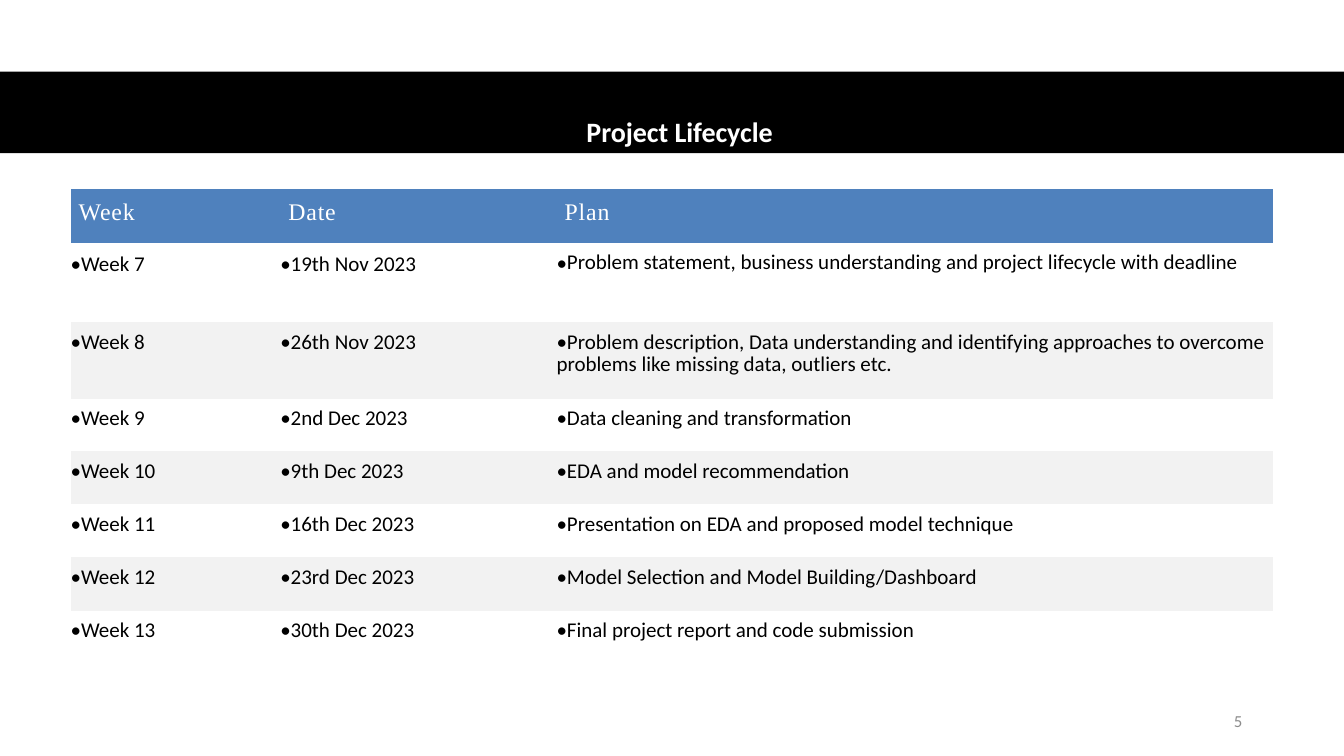
"""Build the project lifecycle slide with its weekly plan table."""
from dataclasses import dataclass

from lxml import etree
from pptx import Presentation
from pptx import util as u
from pptx.dml.color import RGBColor
from pptx.enum import shapes, text
from pptx.oxml.ns import qn

TITLE = "Project Lifecycle"
PAGE = "5"
HEADER = ("Week", "Date", "Plan")
SCHEDULE = [
    ("Week 7", "19th Nov 2023",
     "Problem statement, business understanding and project lifecycle with deadline"),
    ("Week 8", "26th Nov 2023",
     "Problem description, Data understanding and identifying approaches to overcome "
     "problems like missing data, outliers etc."),
    ("Week 9", "2nd Dec 2023", "Data cleaning and transformation"),
    ("Week 10", "9th Dec 2023", "EDA and model recommendation"),
    ("Week 11", "16th Dec 2023", "Presentation on EDA and proposed model technique"),
    ("Week 12", "23rd Dec 2023", "Model Selection and Model Building/Dashboard"),
    ("Week 13", "30th Dec 2023", "Final project report and code submission"),
]
WIDTH, HEIGHT = 13.33, 7.5
COLUMNS = (2.08, 2.74, 7.11)
ROWS = (0.53, 0.78, 0.77, 0.52, 0.52, 0.53, 0.53, 0.52)
LEADING = (15.2, 16.4, 16.4, 15.1, 15.1, 16.2, 15.8, 15.1)
PLAN_LEADING = (15.2, 15.5, 16.1, 15.1, 15.1, 16.1, 15.5, 15.1)
PLAN_SPACE_BEFORE = {1: 1.1, 6: 0.6}
TABLE_LEFT, TABLE_TOP = 0.7, 1.88
CELL_MARGINS = (0, 0.11, 0.06, 0.14)
PLAIN_STYLE = "{2D5ABB26-0587-4C30-8999-92F81FD0307C}"


@dataclass(frozen=True)
class Theme:
    band: str = "000000"
    ink: str = "000000"
    light: str = "FFFFFF"
    muted: str = "8C8C8C"
    header: str = "4F81BD"
    stripe: str = "F2F2F2"
    body_font: str = "Calibri"
    header_font: str = "Times New Roman"
    title_size: int = 20
    header_size: int = 17
    body_size: int = 15
    page_size: int = 12


THEME = Theme()


def add_run(paragraph, words, size, color, font=THEME.body_font, bold=False, spacing=0):
    run = paragraph.add_run()
    run.text = words
    run.font.name = font
    run.font.size = u.Pt(size)
    run.font.bold = bold
    run.font.color.rgb = RGBColor.from_string(color)
    run.font._element.set("spc", str(round(spacing * 100)))


def add_label(slide, box, anchor, alignment):
    frame = slide.shapes.add_textbox(*map(u.Inches, box)).text_frame
    frame.word_wrap = True
    frame.vertical_anchor = anchor
    frame.paragraphs[0].alignment = alignment
    return frame


def set_indent(paragraph, margin, indent, bullet=None):
    properties = paragraph._p.get_or_add_pPr()
    properties.set("marL", str(u.Inches(margin)))
    properties.set("indent", str(u.Inches(indent)))
    if bullet:
        etree.SubElement(properties, qn("a:buFont")).set("typeface", THEME.body_font)
        etree.SubElement(properties, qn("a:buChar")).set("char", bullet)


def fill_cell(cell, row, column, words):
    margins = map(u.Inches, CELL_MARGINS)
    cell.margin_left, cell.margin_top, cell.margin_right, cell.margin_bottom = margins
    fill = THEME.header if row == 0 else THEME.stripe if row % 2 == 0 else None
    if fill:
        cell.fill.solid()
        cell.fill.fore_color.rgb = RGBColor.from_string(fill)
    else:
        cell.fill.background()
    paragraph = cell.text_frame.paragraphs[0]
    is_plan = column == len(HEADER) - 1
    paragraph.line_spacing = u.Pt((PLAN_LEADING if is_plan else LEADING)[row])
    if is_plan and row in PLAN_SPACE_BEFORE:
        paragraph.space_before = u.Pt(PLAN_SPACE_BEFORE[row])
    if row == 0:
        cell.vertical_anchor = text.MSO_ANCHOR.MIDDLE
        set_indent(paragraph, 0.08, 0)
        add_run(paragraph, words, THEME.header_size, THEME.light, THEME.header_font, spacing=0.6)
    else:
        set_indent(paragraph, 0, -0.19, "•")
        add_run(paragraph, words, THEME.body_size, THEME.ink)


def add_title(slide):
    band = slide.shapes.add_shape(
        shapes.MSO_SHAPE.RECTANGLE, 0, u.Inches(0.71), u.Inches(WIDTH), u.Inches(0.81))
    band.shadow.inherit = False
    band.fill.solid()
    band.fill.fore_color.rgb = RGBColor.from_string(THEME.band)
    band.line.fill.background()
    frame = add_label(slide, (0.61, 0.7, 12.26, 0.81),
                      text.MSO_ANCHOR.BOTTOM, text.PP_ALIGN.CENTER)
    frame.margin_bottom = u.Inches(0.04)
    frame.paragraphs[0].line_spacing = 0.9
    add_run(frame.paragraphs[0], TITLE, THEME.title_size, THEME.light, bold=True, spacing=-0.05)


def add_schedule(slide):
    box = (TABLE_LEFT, TABLE_TOP, sum(COLUMNS), sum(ROWS))
    table = slide.shapes.add_table(len(ROWS), len(COLUMNS), *map(u.Inches, box)).table
    table._tbl.tblPr.find(qn("a:tableStyleId")).text = PLAIN_STYLE
    table.horz_banding = False
    for column, width in zip(table.columns, COLUMNS):
        column.width = u.Inches(width)
    for row, (height, entries) in enumerate(zip(ROWS, [HEADER, *SCHEDULE])):
        table.rows[row].height = u.Inches(height)
        for column, words in enumerate(entries):
            fill_cell(table.cell(row, column), row, column, words)


def main():
    presentation = Presentation()
    presentation.slide_width, presentation.slide_height = u.Inches(WIDTH), u.Inches(HEIGHT)
    slide = presentation.slides.add_slide(presentation.slide_layouts[6])
    add_title(slide)
    page = add_label(slide, (9.42, 6.95, 3, 0.4),
                     text.MSO_ANCHOR.MIDDLE, text.PP_ALIGN.RIGHT)
    add_run(page.paragraphs[0], PAGE, THEME.page_size, THEME.muted, spacing=-0.3)
    add_schedule(slide)
    presentation.save("out.pptx")


if __name__ == "__main__":
    main()
